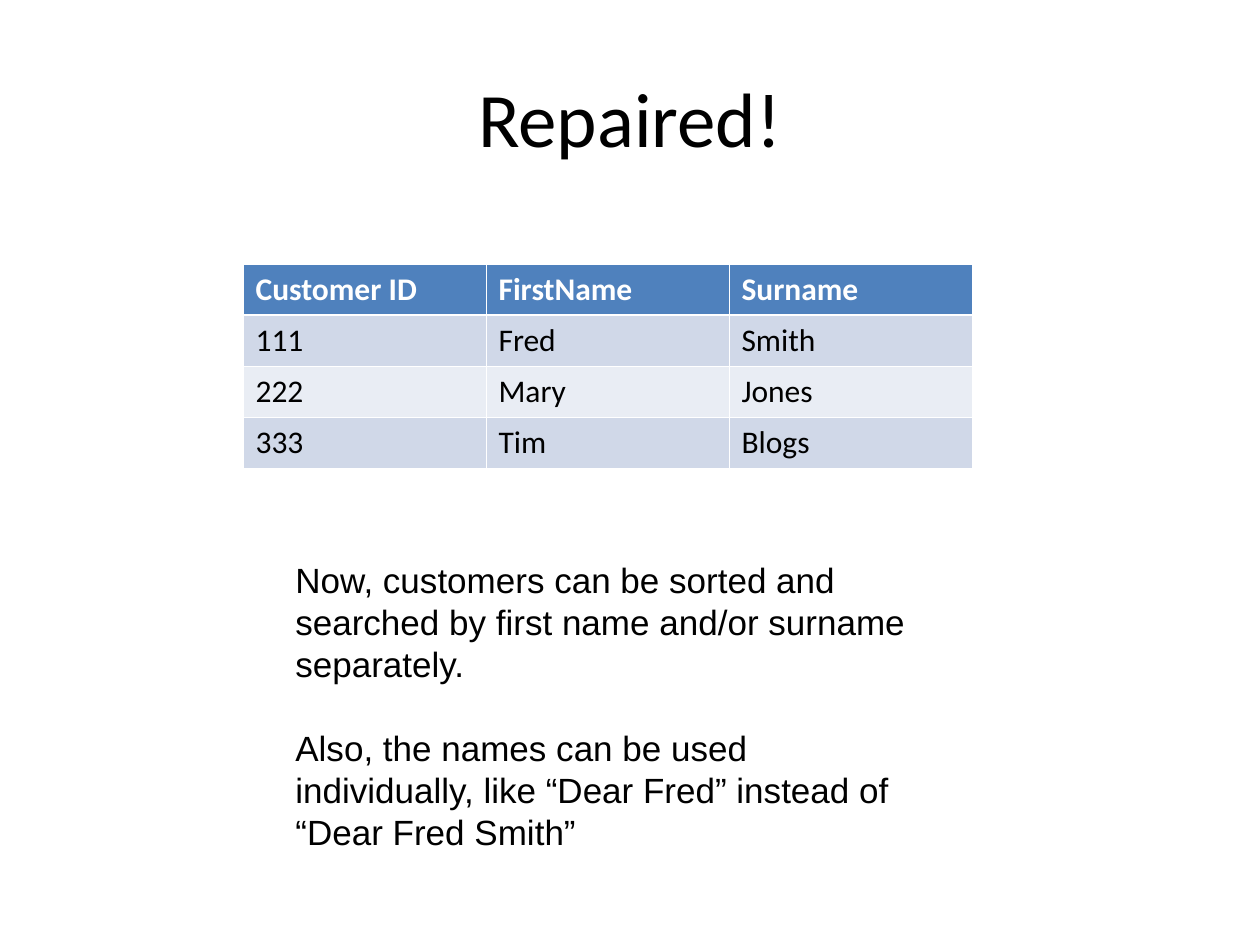
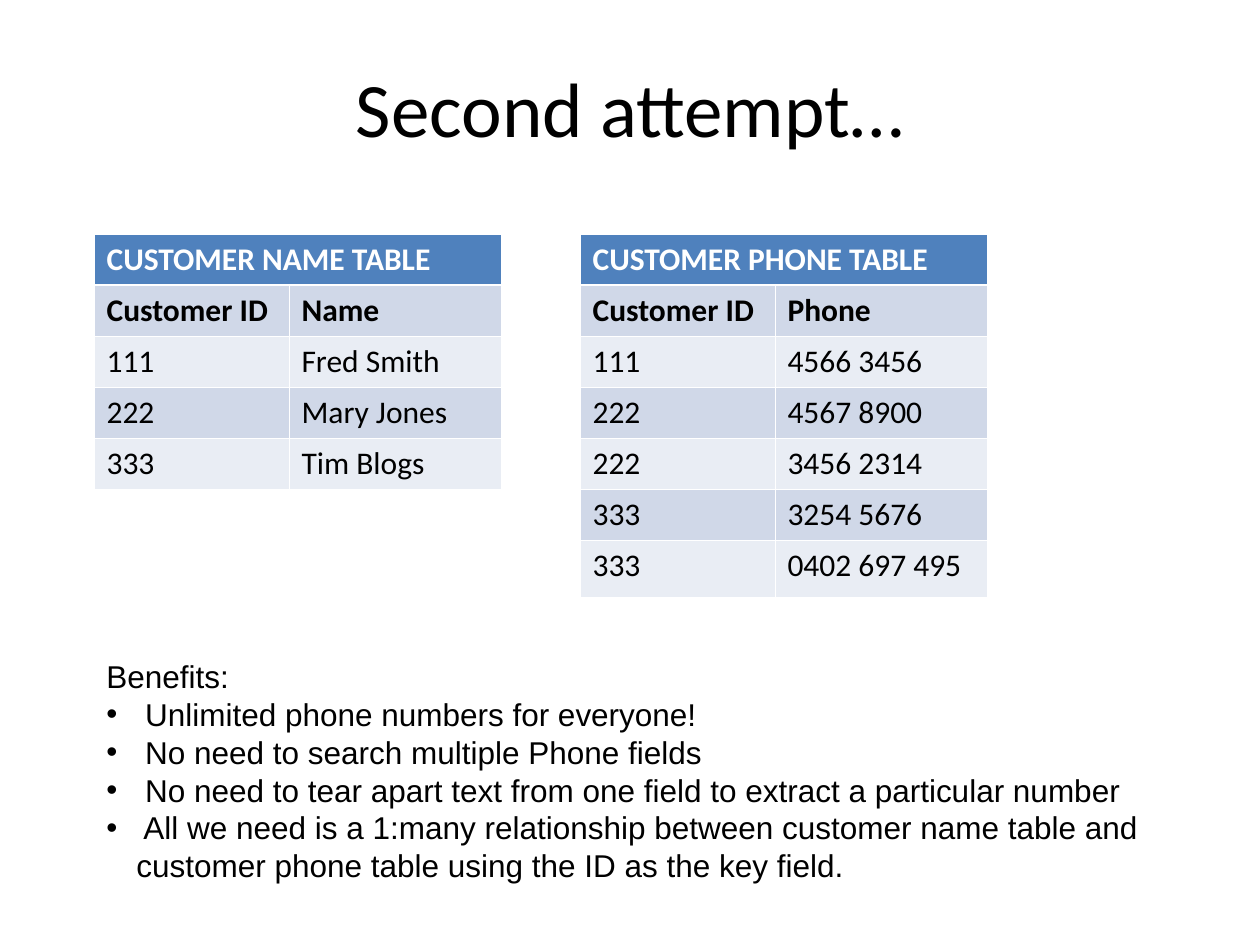
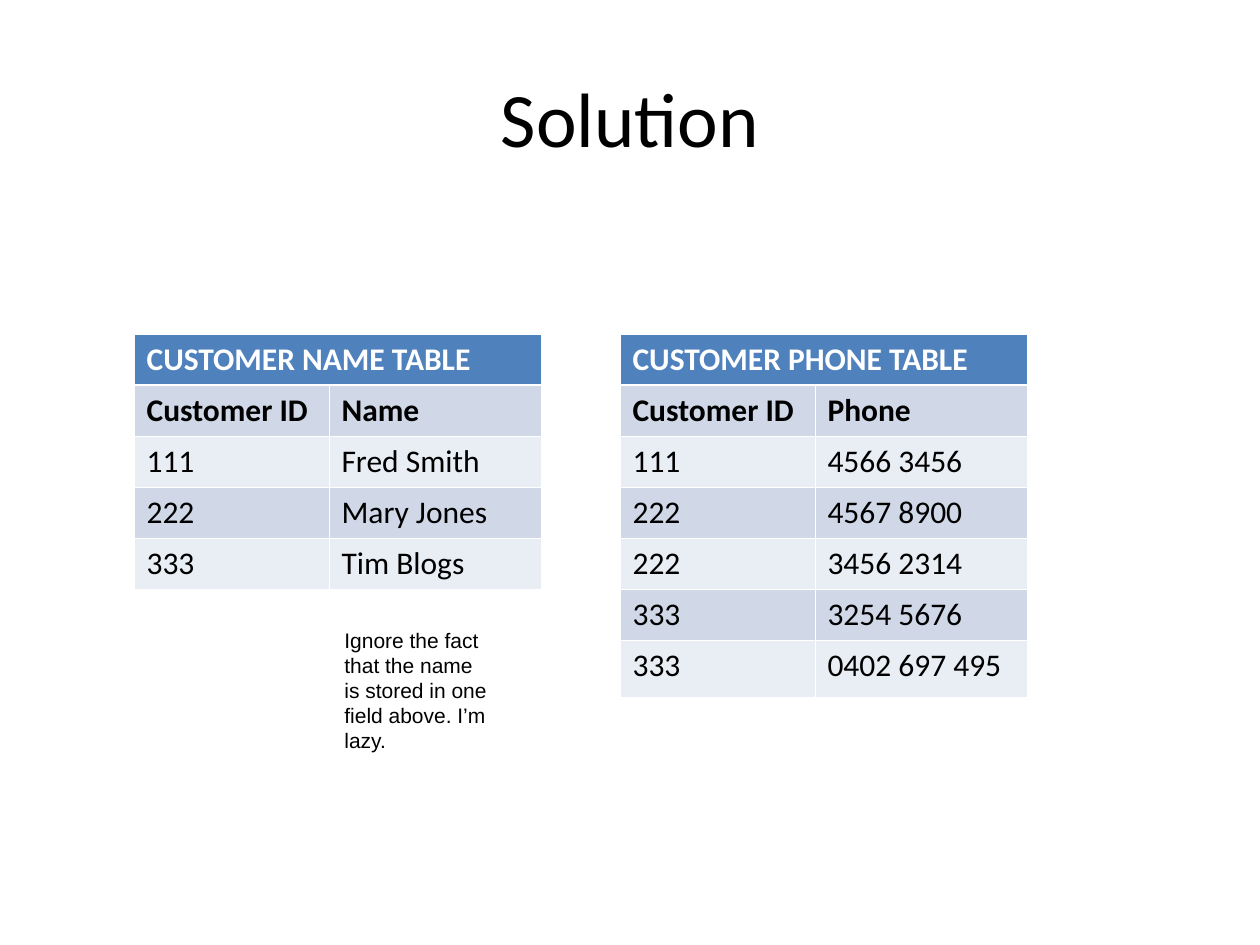
from lxml import etree
from pptx import Presentation
from pptx import util as u
from pptx.dml.color import RGBColor
from pptx.enum import text
from pptx.oxml.ns import qn

PX = 914400 / 126
COLORS = {
    "ink": "000000",
    "header": "4F81BD",
    "header_ink": "FFFFFF",
    "odd_row": "D0D8E8",
    "even_row": "E9EDF4",
    "grid": "FFFFFF",
}
TITLE_FONT = TABLE_FONT = "Calibri"
NOTE_FONT = "Arial"
ROW_HEIGHT = 51
PAIR_COLUMNS = (195, 212)
PAIR_STEP = 486
BULLET_INDENT = 30

CUSTOMERS = [
    ("Customer ID", "FirstName", "Surname"),
    ("111", "Fred", "Smith"),
    ("222", "Mary", "Jones"),
    ("333", "Tim", "Blogs"),
]
NAMES = [
    ("CUSTOMER NAME TABLE", ""),
    ("Customer ID", "Name"),
    ("111", "Fred Smith"),
    ("222", "Mary Jones"),
    ("333", "Tim Blogs"),
]
PHONES = [
    ("CUSTOMER PHONE TABLE", ""),
    ("Customer ID", "Phone"),
    ("111", "4566 3456"),
    ("222", "4567 8900"),
    ("222", "3456 2314"),
    ("333", "3254 5676"),
    ("333", "0402 697 495"),
]


def px(length):
    return u.Emu(round(length * PX))


def add_span(para, words, font, size, color="ink", bold=False):
    span = para.add_run()
    span.text = words
    span.font.name = font
    span.font.size = u.Pt(size)
    span.font.bold = bold
    span.font.color.rgb = RGBColor.from_string(COLORS[color])


def add_page(deck, title, title_height=157):
    page = deck.slides.add_slide(deck.slide_layouts[5])
    box = page.shapes.title
    box.left, box.top, box.width, box.height = map(px, (63, 38, 1134, title_height))
    frame = box.text_frame
    frame.auto_size = text.MSO_AUTO_SIZE.NONE
    frame.vertical_anchor = text.MSO_ANCHOR.MIDDLE
    para = frame.paragraphs[0]
    para.alignment = text.PP_ALIGN.CENTER
    add_span(para, title, TITLE_FONT, 44)
    return page


def set_borders(cell, top, bottom):
    """Draw the four grid lines; top and bottom are widths in points."""
    properties = cell._tc.get_or_add_tcPr()
    widths = {"lnL": 0.45, "lnR": 0.45, "lnT": top, "lnB": bottom}
    for position, (side, width) in enumerate(widths.items()):
        line = etree.Element(qn(f"a:{side}"), w=str(u.Pt(width)))
        fill = etree.SubElement(line, qn("a:solidFill"))
        etree.SubElement(fill, qn("a:srgbClr"), val=COLORS["grid"])
        properties.insert(position, line)


def add_grid(page, left, top, columns, rows, bold_rows=1, last_height=ROW_HEIGHT):
    """Add a banded table; an empty second heading joins the first row."""
    heights = [ROW_HEIGHT] * (len(rows) - 1) + [last_height]
    box = page.shapes.add_table(
        len(rows), len(columns), px(left), px(top), px(sum(columns)), px(sum(heights)))
    table = box.table
    table.first_row = table.horz_banding = False
    for column, width in zip(table.columns, columns):
        column.width = px(width)
    for r, (row, height) in enumerate(zip(rows, heights)):
        table.rows[r].height = px(height)
        fill = "header" if r == 0 else "odd_row" if r % 2 else "even_row"
        for c, words in enumerate(row):
            cell = table.cell(r, c)
            cell.fill.solid()
            cell.fill.fore_color.rgb = RGBColor.from_string(COLORS[fill])
            set_borders(cell, 1.47 if r == 1 else 0.45, 1.47 if r == 0 else 0.45)
            if words:
                add_span(cell.text_frame.paragraphs[0], words, TABLE_FONT, 18,
                         "ink" if r else "header_ink", r < bold_rows)
    if not rows[0][1]:
        table.cell(0, 0).merge(table.cell(0, 1))


def add_table_pair(page, left, top):
    add_grid(page, left, top, PAIR_COLUMNS, NAMES, bold_rows=2)
    add_grid(page, left + PAIR_STEP, top, PAIR_COLUMNS, PHONES, bold_rows=2, last_height=57)


def add_bullet(para):
    properties = para._p.get_or_add_pPr()
    properties.set("marL", str(px(BULLET_INDENT)))
    properties.set("indent", str(px(-BULLET_INDENT)))
    color = etree.SubElement(properties, qn("a:buClr"))
    etree.SubElement(color, qn("a:srgbClr"), val=COLORS["ink"])
    etree.SubElement(properties, qn("a:buFont"), typeface=NOTE_FONT)
    etree.SubElement(properties, qn("a:buChar"), char="•")


def add_outline(page, left, top, width, height):
    """Add an unfilled, unlined freeform rectangle to hold text."""
    right, bottom = left + width, top + height
    builder = page.shapes.build_freeform(px(left), px(top))
    corners = [(right, top), (right, bottom), (left, bottom)]
    builder.add_line_segments([(px(x), px(y)) for x, y in corners], close=True)
    box = builder.convert_to_shape()
    box.shadow.inherit = False
    box.fill.background()
    box.line.fill.background()
    return box


def add_note(page, place, size, lines, gap=0, bulleted=False):
    """Add plain text; when bulleted, every line after the first has a bullet."""
    frame = add_outline(page, *place).text_frame
    frame.word_wrap = True
    frame.vertical_anchor = text.MSO_ANCHOR.TOP
    for index, words in enumerate(lines):
        para = frame.add_paragraph() if index else frame.paragraphs[0]
        if index and bulleted:
            add_bullet(para)
        para.alignment = text.PP_ALIGN.LEFT
        para.line_spacing = u.Pt(size * 1.2)
        if index and gap:
            para.space_before = u.Pt(gap)
        add_span(para, words, NOTE_FONT, size)


def build_repaired(deck):
    page = add_page(deck, "Repaired!")
    add_grid(page, 243, 264, (243, 243, 243), CUSTOMERS)
    add_note(page, (283, 552, 645, 307), 20, [
        "Now, customers can be sorted and searched by first name and/or surname separately.",
        "Also, the names can be used individually, like “Dear Fred” instead of “Dear Fred Smith”",
    ], gap=24)


def build_second_attempt(deck):
    page = add_page(deck, "Second attempt…", title_height=137)
    add_table_pair(page, 94, 234)
    add_note(page, (94, 651, 1081, 239), 18, [
        "Benefits:",
        " Unlimited phone numbers for everyone!",
        " No need to search multiple Phone fields",
        " No need to tear apart text from one field to extract a particular number",
        " All we need is a 1:many relationship between customer name table and "
        "customer phone table using the ID as the key field.",
    ], bulleted=True)


def build_solution(deck):
    page = add_page(deck, "Solution")
    add_table_pair(page, 134, 334)
    add_note(page, (332, 621, 169, 139), 12, [
        "Ignore the fact that the name is stored in one field above. I’m lazy.",
    ])


def main():
    deck = Presentation()
    deck.slide_width, deck.slide_height = px(1260), px(945)
    build_repaired(deck)
    build_second_attempt(deck)
    build_solution(deck)
    deck.save("out.pptx")


if __name__ == "__main__":
    main()
